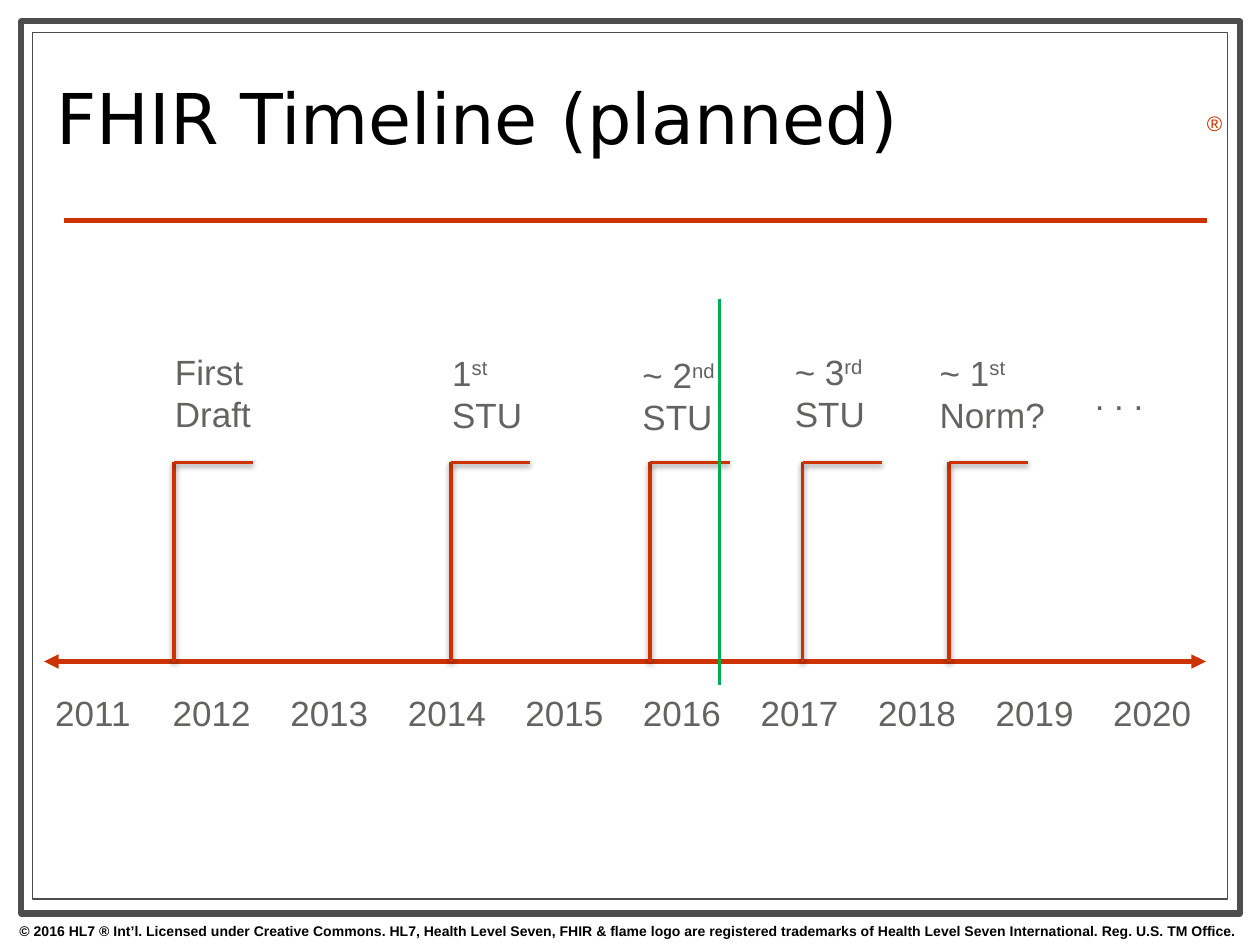
from lxml import etree
from pptx import Presentation
from pptx.dml.color import RGBColor
from pptx.enum.shapes import MSO_CONNECTOR, MSO_SHAPE
from pptx.enum.text import MSO_ANCHOR, MSO_AUTO_SIZE, PP_ALIGN
from pptx.oxml.ns import qn
from pptx.util import Inches, Pt

COLORS = {name: RGBColor.from_string(value) for name, value in {
    "paper": "FFFFFF", "ink": "000000", "frame": "4D4D4D",
    "accent": "CC3300", "label": "636360", "today": "00B050"}.items()}

presentation = Presentation()
presentation.slide_width, presentation.slide_height = Inches(10), Inches(7.5)
slide = presentation.slides.add_slide(presentation.slide_layouts[5])
# The slide is a grid of 100 columns by 75 rows
COLUMN = presentation.slide_width / 100
ROW = presentation.slide_height / 75


def add_line(shapes, start, end, color, width, shadow=False):
    """Draw a line between two (column, row) points."""
    line = shapes.add_connector(
        MSO_CONNECTOR.STRAIGHT, int(start[0] * COLUMN), int(start[1] * ROW),
        int(end[0] * COLUMN), int(end[1] * ROW))
    line.line.color.rgb = COLORS[color]
    line.line.width = Pt(width)
    effects = etree.SubElement(line._element.spPr, qn("a:effectLst"))
    if shadow:
        outer = etree.SubElement(effects, qn("a:outerShdw"), blurRad="40000",
                                 dist="20000", dir="5400000", rotWithShape="0")
        black = etree.SubElement(outer, qn("a:srgbClr"), val="000000")
        etree.SubElement(black, qn("a:alpha"), val="38000")
    return line


def add_text(shapes, left, top, width, height, lines, size=20, color="label"):
    """Add a box in grid units; '^' in a line starts a superscript."""
    box = shapes.add_textbox(int(left * COLUMN), int(top * ROW),
                             int(width * COLUMN), int(height * ROW))
    frame = box.text_frame
    frame.word_wrap = False
    frame.auto_size = MSO_AUTO_SIZE.SHAPE_TO_FIT_TEXT
    for index, line in enumerate(lines):
        paragraph = frame.add_paragraph() if index else frame.paragraphs[0]
        base, _, raised = line.partition("^")
        paragraph.text = base
        if raised:
            ordinal = paragraph.add_run()
            ordinal.text = raised
            ordinal.font._element.set("baseline", "30000")
        paragraph.font.size = Pt(size)
        paragraph.font.name = "Arial"
        paragraph.font.color.rgb = COLORS[color]
    return frame


# Page frame, rule and small print
for margin, width, height, weight in ((1.7, 96.7, 70.8, 3.5), (2.55, 94.9, 68.8, 0.75)):
    border = slide.shapes.add_shape(
        MSO_SHAPE.RECTANGLE, int(margin * COLUMN), int(margin * ROW),
        int(width * COLUMN), int(height * ROW))
    border.shadow.inherit = False
    border.fill.solid()
    border.fill.fore_color.rgb = COLORS["paper"]
    border.line.color.rgb = COLORS["frame"]
    border.line.width = Pt(weight)

add_line(slide.shapes, (5.1, 17.5), (95.8, 17.5), "accent", 3)
copyright_line = add_text(slide.shapes, -0.1, 72.7, 100, 2.3, [
    "© 2016 HL7 ® Int’l. Licensed under Creative Commons. HL7, Health Level Seven, "
    "FHIR & flame logo are registered trademarks of Health Level Seven International. "
    "Reg. U.S. TM Office."], 8, "ink")
copyright_line.word_wrap = True
copyright_line.paragraphs[0].alignment = PP_ALIGN.CENTER
copyright_line.paragraphs[0].font.bold = True
add_text(slide.shapes, 94.8, 8.3, 3.1, 3, ["®"], 12, "accent")

# Title, brought in front of the filled frame
title = slide.shapes.title
title._element.getparent().append(title._element)
title.left, title.top = int(3.5 * COLUMN), int(3.6 * ROW)
title.width, title.height = int(71.7 * COLUMN), int(12.6 * ROW)
title.text_frame.auto_size = MSO_AUTO_SIZE.NONE
title.text_frame.vertical_anchor = MSO_ANCHOR.MIDDLE
heading = title.text_frame.paragraphs[0]
heading.text = "FHIR Timeline (planned)"
heading.alignment = PP_ALIGN.LEFT
heading.line_spacing = 0.8
heading.font.size = Pt(40)
heading.font.name = "DejaVu Sans"
heading.font.color.rgb = COLORS["ink"]

# Time axis with one label per year
AXIS_ROW, FLAG_ROW, FLAG_LENGTH = 52.5, 36.7, 6.3
axis = add_line(slide.shapes, (3.5, AXIS_ROW), (95.7, AXIS_ROW), "accent", 2.75)
for end in ("a:headEnd", "a:tailEnd"):
    etree.SubElement(axis.line._get_or_add_ln(), qn(end), type="triangle")
for index, year in enumerate(range(2011, 2021)):
    add_text(slide.shapes, 3.4 + 9.33 * index, 54.4, 8.3, 4.4, [str(year)])

# Milestones: stem column, then left, top and width of the label
milestones = (
    (13.8, 12.9, 27.3, 8.1, ["First\vDraft"]),
    (35.8, 34.9, 27.4, 7.6, ["1^st", "STU"]),
    (51.6, 50.0, 27.6, 8.1, ["~ 2^nd", "STU"]),
    (63.7, 62.1, 27.3, 8.4, ["~ 3^rd", "STU"]),
    (75.3, 73.6, 27.4, 10.4, ["~ 1^st", "Norm?"]),
)
for stem, left, top, width, label in milestones:
    flag = slide.shapes.add_group_shape().shapes
    add_text(flag, left, top, width, 7.7, label)
    for end in ((stem, AXIS_ROW), (stem + FLAG_LENGTH, FLAG_ROW)):
        add_line(flag, (stem, FLAG_ROW), end, "accent", 2, shadow=True)
add_text(slide.shapes, 85.9, 29.3, 5.9, 4.4, [". . ."])

# Today
add_line(slide.shapes, (57.1, 23.7), (57.1, 54.4), "today", 2)

presentation.save("out.pptx")
